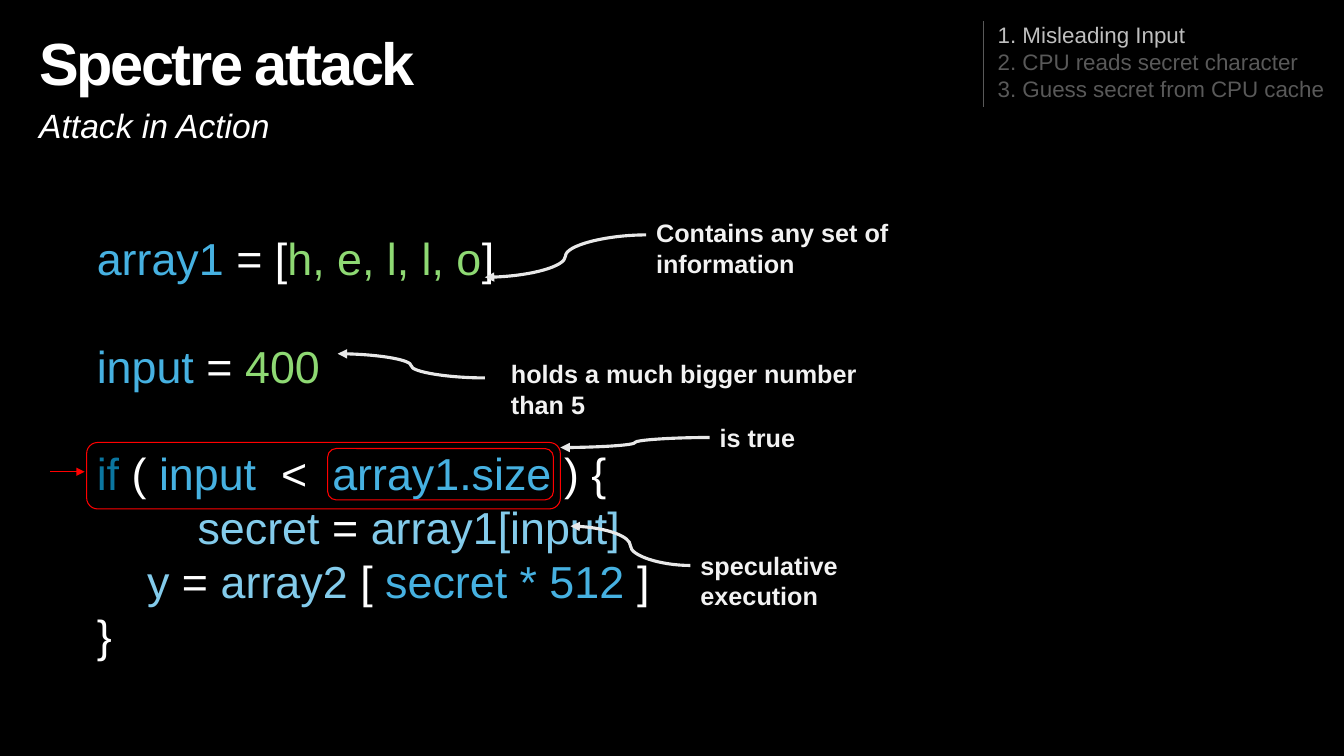
import pptx
import pptx.dml.color
import pptx.enum.shapes
import pptx.enum.text
import pptx.oxml.ns
import pptx.util
from dataclasses import dataclass
from lxml import etree

WIDTH, HEIGHT = pptx.util.Inches(13.333), pptx.util.Inches(7.5)


@dataclass(frozen=True)
class Theme:
    font: str = "Arial"
    background: str = "000000"
    plain: str = "FFFFFF"
    name: str = "46B1E1"
    value: str = "8ED973"
    keyword: str = "0B76A0"
    speculated: str = "83CBEB"
    current_step: str = "BFBFBF"
    muted: str = "595959"
    note: str = "F2F2F2"
    pointer: str = "E8E8E8"
    highlight: str = "FF0000"
    title_size: float = 42.5
    subtitle_size: float = 24
    code_size: float = 32
    step_size: float = 16
    note_size: float = 18
    leading: float = 1.2


THEME = Theme()

# Each line: indent in inches, blank lines before it, coloured tokens.
CODE = [
    (0.5, 0, [("array1", THEME.name), (" = [", THEME.plain),
              ("h, e, l, l, o", THEME.value), ("]", THEME.plain)]),
    (0.5, 1, [("input", THEME.name), (" = ", THEME.plain), ("400", THEME.value)]),
    (0.5, 1, [("if", THEME.keyword), (" ( ", THEME.plain), ("input", THEME.name),
              ("  <  ", THEME.plain), ("array1.size", THEME.name),
              (" ) {", THEME.plain)]),
    (1.5, 0, [("secret", THEME.speculated), (" = ", THEME.plain),
              ("array1[input]", THEME.speculated)]),
    (1.0, 0, [("y", THEME.speculated), (" = ", THEME.plain),
              ("array2 ", THEME.speculated), ("[ ", THEME.plain),
              ("secret * 512 ", THEME.name), ("]", THEME.plain)]),
    (0.5, 0, [("}", THEME.plain)]),
]

STEPS = [
    ("1. Misleading Input", THEME.current_step),
    ("2. CPU reads secret character", THEME.muted),
    ("3. Guess secret from CPU cache", THEME.muted),
]

# Each note: text, its box, pointer start and pointer end.
NOTES = [
    ("Contains any set of information", (48.08, 28.13, 19.28, 9.47),
     (48.08, 31.07), (36.08, 36.67)),
    ("holds a much bigger number than 5", (37.28, 46.8, 30, 5.33),
     (36.08, 50), (25.13, 46.8)),
    ("is true", (52.8, 55.2, 19.28, 5.33), (52.8, 57.87), (41.7, 59.2)),
    ("speculative execution", (51.38, 72.13, 19.28, 5.33),
     (51.38, 74.8), (42.45, 69.6)),
]

CONDITION = (6.45, 58.53, 35.25, 8.8)
ARRAY_SIZE = (24.38, 59.33, 16.8, 6.8)


def shares(*percents):
    """Turn alternating percentages of slide width and height into lengths."""
    return [round((HEIGHT if i % 2 else WIDTH) * percent / 100)
            for i, percent in enumerate(percents)]


def rgb(colour):
    return pptx.dml.color.RGBColor.from_string(colour)


def add_run(paragraph, text, size, colour, bold=False, italic=False):
    run = paragraph.add_run()
    run.text = text
    font = run.font
    font.name, font.size = THEME.font, pptx.util.Pt(size)
    font.bold, font.italic = bold, italic
    font.color.rgb = rgb(colour)
    return run


def prepare_frame(owner, anchor=pptx.enum.text.MSO_ANCHOR.TOP, inset=None):
    frame = owner.text_frame
    frame.word_wrap = True
    frame.auto_size = pptx.enum.text.MSO_AUTO_SIZE.NONE
    frame.vertical_anchor = anchor
    if inset is not None:
        frame.margin_left = frame.margin_right = pptx.util.Inches(inset)
        frame.margin_top = frame.margin_bottom = pptx.util.Inches(inset)
    return frame


def place(placeholder, box):
    (placeholder.left, placeholder.top,
     placeholder.width, placeholder.height) = shares(*box)


def add_text(slide, box, lines, size, bold=False):
    frame = prepare_frame(slide.shapes.add_textbox(*shares(*box)))
    for i, (text, colour) in enumerate(lines):
        paragraph = frame.add_paragraph() if i else frame.paragraphs[0]
        paragraph.line_spacing = pptx.util.Pt(size * THEME.leading)
        add_run(paragraph, text, size, colour, bold)


def add_heading(slide):
    middle = pptx.enum.text.MSO_ANCHOR.MIDDLE
    title = slide.shapes.title
    place(title, (2.7, 4.8, 29.55, 8.4))
    heading = prepare_frame(title, middle, 0.03).paragraphs[0]
    heading.alignment = pptx.enum.text.PP_ALIGN.LEFT
    heading.line_spacing = 0.8
    run = add_run(heading, "Spectre attack", THEME.title_size, THEME.plain, bold=True)
    run._r.get_or_add_rPr().set("spc", "-170")

    subtitle = slide.shapes.add_textbox(*shares(2.7, 14.13, 18.45, 5.6))
    line = prepare_frame(subtitle, middle, 0.03).paragraphs[0]
    line.line_spacing = 0.9
    add_run(line, "Attack in Action", THEME.subtitle_size, THEME.plain, italic=True)


def add_code(slide):
    body = slide.placeholders[1]
    place(body, (2.7, 29.87, 93.53, 62.8))
    frame = prepare_frame(body)
    line_height = THEME.code_size * THEME.leading
    for i, (indent, blank_lines, tokens) in enumerate(CODE):
        paragraph = frame.add_paragraph() if i else frame.paragraphs[0]
        paragraph.line_spacing = pptx.util.Pt(line_height)
        paragraph.space_before = pptx.util.Pt(line_height * blank_lines)
        properties = paragraph._p.get_or_add_pPr()
        properties.set("marL", str(pptx.util.Inches(indent)))
        properties.set("indent", "0")
        etree.SubElement(properties, pptx.oxml.ns.qn("a:buNone"))
        for text, colour in tokens:
            add_run(paragraph, text, THEME.code_size, colour)


def add_line(slide, start, end, colour, weight, curved=False, arrow=True):
    kinds = pptx.enum.shapes.MSO_CONNECTOR
    connector = slide.shapes.add_connector(
        kinds.CURVE if curved else kinds.STRAIGHT, *shares(*start, *end))
    connector.line.color.rgb = rgb(colour)
    connector.line.width = pptx.util.Pt(weight)
    if arrow:
        etree.SubElement(connector.line._get_or_add_ln(),
                         pptx.oxml.ns.qn("a:tailEnd"), type="triangle")
    etree.SubElement(connector._element.spPr, pptx.oxml.ns.qn("a:effectLst"))


def add_highlight(slide, box):
    outline = slide.shapes.add_shape(
        pptx.enum.shapes.MSO_SHAPE.ROUNDED_RECTANGLE, *shares(*box))
    outline.shadow.inherit = False
    outline.fill.background()
    outline.line.color.rgb = rgb(THEME.highlight)
    outline.line.width = pptx.util.Pt(0.75)


def main():
    deck = pptx.Presentation()
    deck.slide_width, deck.slide_height = WIDTH, HEIGHT
    slide = deck.slides.add_slide(deck.slide_layouts[1])
    slide.background.fill.solid()
    slide.background.fill.fore_color.rgb = rgb(THEME.background)

    add_heading(slide)
    add_code(slide)
    add_text(slide, (73.5, 2.13, 26.48, 12.53), STEPS, THEME.step_size)
    add_line(slide, (73.2, 2.8), (73.2, 14.13), THEME.muted, 1, arrow=False)
    for text, box, start, end in NOTES:
        add_text(slide, box, [(text, THEME.note)], THEME.note_size, bold=True)
        add_line(slide, start, end, THEME.pointer, 2.25, curved=True)
    for box in (ARRAY_SIZE, CONDITION):
        add_highlight(slide, box)
    add_line(slide, (3.75, 62.4), (6.3, 62.4), THEME.highlight, 1)
    deck.save("out.pptx")


if __name__ == "__main__":
    main()
